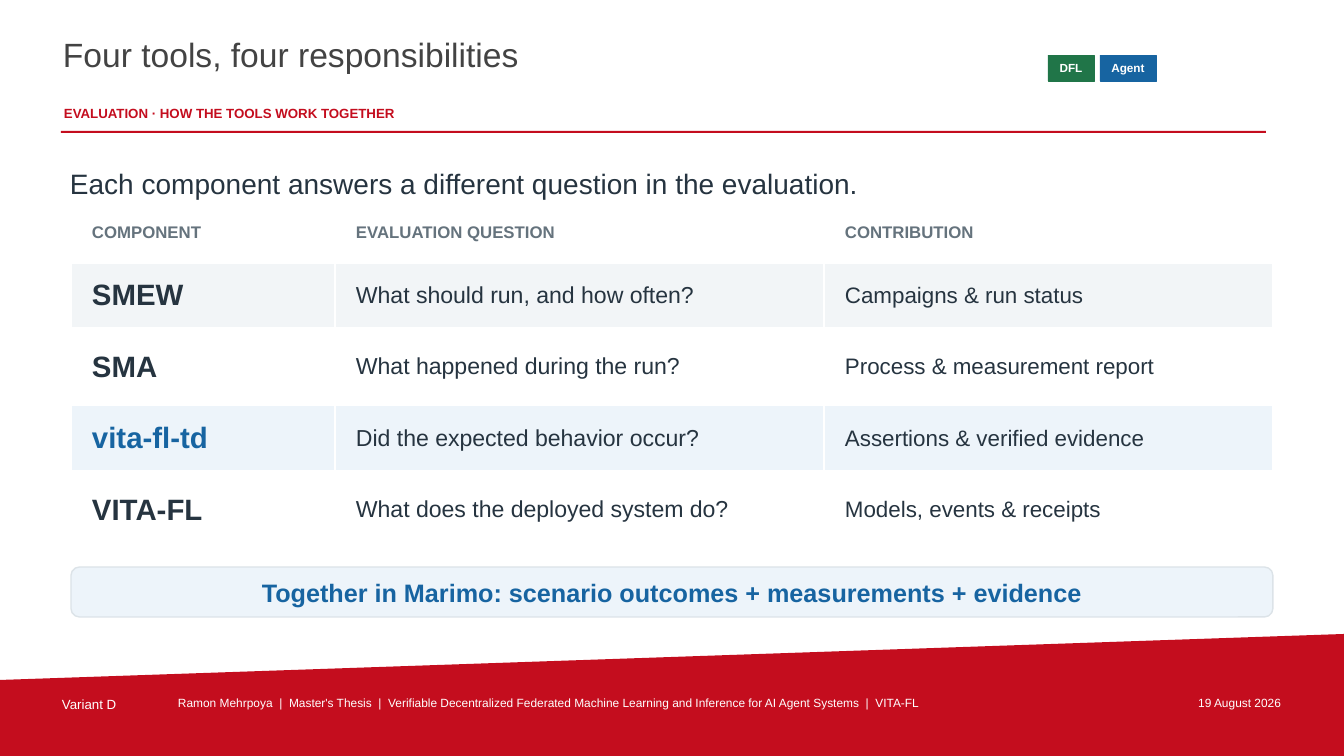
from pptx import Presentation
from pptx import util as u
from pptx.dml.color import RGBColor
from pptx.enum import shapes, text

SCALE = u.Inches(1) / 100.8
FONT = "Arial"
WHITE = RGBColor(0xFF, 0xFF, 0xFF)
RED = RGBColor(0xC4, 0x0D, 0x1E)
BLUE = RGBColor(0x17, 0x64, 0xA1)
GREEN = RGBColor(0x20, 0x75, 0x48)
TITLE_GRAY = RGBColor(0x43, 0x43, 0x43)
HEADER_GRAY = RGBColor(0x65, 0x73, 0x7D)
INK = RGBColor(0x26, 0x34, 0x40)
PALE_GRAY = RGBColor(0xF2, 0xF5, 0xF7)
PALE_BLUE = RGBColor(0xED, 0xF4, 0xFA)
BORDER = RGBColor(0xDC, 0xE3, 0xE8)

LEFT, WIDTH = 71, 1202
COLUMN_WIDTHS = (264, 489, 449)
ROW_HEIGHTS = (60, 65, 78, 65, 78)
CELL_INDENT = 21
HEADERS = ("COMPONENT", "EVALUATION QUESTION", "CONTRIBUTION")
TOOLS = (
    ("SMEW", "What should run, and how often?", "Campaigns & run status", INK, PALE_GRAY),
    ("SMA", "What happened during the run?", "Process & measurement report", INK, WHITE),
    ("vita-fl-td", "Did the expected behavior occur?", "Assertions & verified evidence", BLUE, PALE_BLUE),
    ("VITA-FL", "What does the deployed system do?", "Models, events & receipts", INK, WHITE),
)


def px(*lengths):
    return [u.Emu(round(length * SCALE)) for length in lengths]


def write(frame, words, size, color, bold=False, align=text.PP_ALIGN.LEFT):
    frame.text = words
    paragraph = frame.paragraphs[0]
    paragraph.alignment = align
    font = paragraph.runs[0].font
    font.name = FONT
    font.size = u.Pt(size)
    font.bold = bold
    font.color.rgb = color


def set_insets(frame, inset):
    frame.margin_left = frame.margin_right = inset
    frame.margin_top = frame.margin_bottom = inset
    frame.word_wrap = True


def add_label(slide, box, words, size, color, bold=False,
              align=text.PP_ALIGN.LEFT, anchor=text.MSO_ANCHOR.TOP):
    frame = slide.shapes.add_textbox(*px(*box)).text_frame
    set_insets(frame, px(2)[0])
    frame.vertical_anchor = anchor
    write(frame, words, size, color, bold, align)


def paint(shape, fill, line=None, line_width=0.5):
    shape.shadow.inherit = False
    shape.fill.solid()
    shape.fill.fore_color.rgb = fill
    if line is None:
        shape.line.fill.background()
    else:
        shape.line.color.rgb = line
        shape.line.width = u.Pt(line_width)


def add_panel(slide, kind, box, fill, line=None, line_width=0.5):
    shape = slide.shapes.add_shape(kind, *px(*box))
    paint(shape, fill, line, line_width)
    return shape


def add_captioned_panel(slide, kind, box, fill, line, line_width, words, size, color):
    shape = add_panel(slide, kind, box, fill, line, line_width)
    frame = shape.text_frame
    set_insets(frame, 0)
    frame.vertical_anchor = text.MSO_ANCHOR.MIDDLE
    write(frame, words, size, color, True, text.PP_ALIGN.CENTER)
    return shape


def add_footer_band(slide):
    builder = slide.shapes.build_freeform(0, 680, scale=SCALE)
    builder.add_line_segments([(1344, 634), (1344, 756), (0, 756)], close=True)
    paint(builder.convert_to_shape(), RED)


def fill_cell(cell, words, size, color, bold, fill):
    cell.fill.solid()
    cell.fill.fore_color.rgb = fill
    cell.margin_left = px(CELL_INDENT)[0]
    cell.margin_right = cell.margin_top = cell.margin_bottom = 0
    cell.vertical_anchor = text.MSO_ANCHOR.MIDDLE
    write(cell.text_frame, words, size, color, bold)


def add_tool_table(slide):
    box = px(LEFT, 203, WIDTH, sum(ROW_HEIGHTS))
    table = slide.shapes.add_table(len(ROW_HEIGHTS), len(COLUMN_WIDTHS), *box).table
    table.first_row = table.horz_banding = False
    for column, width in zip(table.columns, px(*COLUMN_WIDTHS)):
        column.width = width
    for row, height in zip(table.rows, px(*ROW_HEIGHTS)):
        row.height = height
    for index, header in enumerate(HEADERS):
        fill_cell(table.cell(0, index), header, 12, HEADER_GRAY, True, WHITE)
    for index, (name, question, contribution, color, fill) in enumerate(TOOLS, 1):
        fill_cell(table.cell(index, 0), name, 21, color, True, fill)
        fill_cell(table.cell(index, 1), question, 16.5, INK, False, fill)
        fill_cell(table.cell(index, 2), contribution, 16, INK, False, fill)


def main():
    presentation = Presentation()
    presentation.slide_width, presentation.slide_height = px(1344, 756)
    slide = presentation.slides.add_slide(presentation.slide_layouts[6])
    rectangle = shapes.MSO_SHAPE.RECTANGLE

    add_footer_band(slide)
    add_label(slide, (61, 32, 973, 62), "Four tools, four responsibilities", 24, TITLE_GRAY)
    add_label(slide, (62, 103, 978, 22), "EVALUATION · HOW THE TOOLS WORK TOGETHER", 9.5, RED, True)
    add_panel(slide, rectangle, (61, 131, 1205, 2), RED)

    for left, width, words, color in ((1048, 46, "DFL", GREEN), (1100, 56, "Agent", BLUE)):
        add_captioned_panel(slide, rectangle, (left, 55, width, 26), color, color, 0.55,
                            words, 8.4, WHITE)

    add_label(slide, (68, 157, 1205, 52), "Each component answers a different question in the evaluation.",
              20, INK, anchor=text.MSO_ANCHOR.MIDDLE)
    add_tool_table(slide)
    summary = add_captioned_panel(
        slide, shapes.MSO_SHAPE.ROUNDED_RECTANGLE, (LEFT, 567, WIDTH, 50), PALE_BLUE, BORDER, 1,
        "Together in Marimo: scenario outcomes + measurements + evidence", 18, BLUE)
    summary.adjustments[0] = 0.17

    add_label(slide, (60, 694, 111, 22), "Variant D", 9.5, WHITE)
    add_label(slide, (176, 694, 942, 22),
              "Ramon Mehrpoya  |  Master's Thesis  |  Verifiable Decentralized Federated Machine Learning "
              "and Inference for AI Agent Systems  |  VITA-FL", 8.5, WHITE)
    add_label(slide, (1129, 694, 154, 22), "19 August 2026", 8.5, WHITE, align=text.PP_ALIGN.RIGHT)
    presentation.save("out.pptx")


if __name__ == "__main__":
    main()
